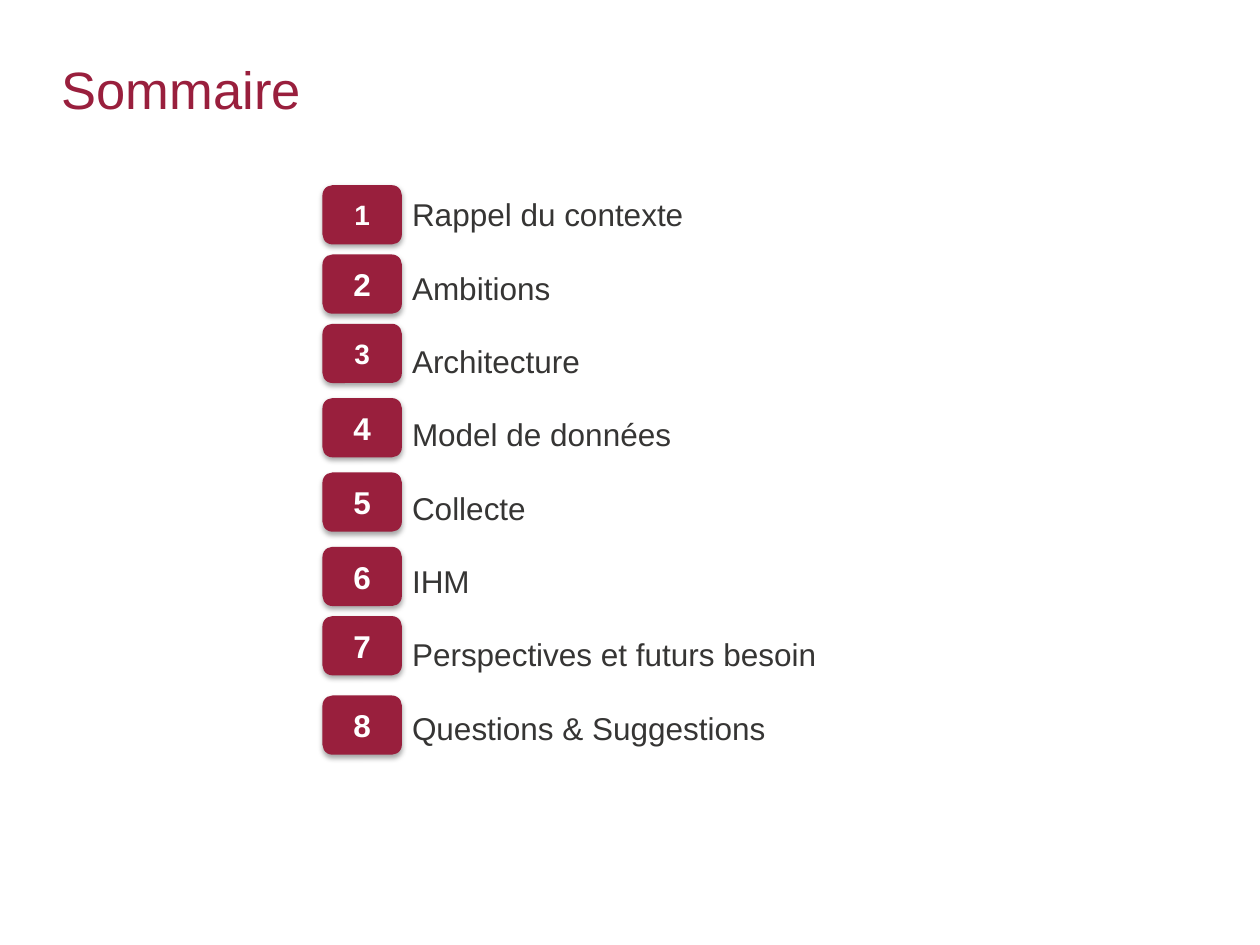
from lxml import etree
from pptx import Presentation
from pptx import util as u
from pptx.dml.color import RGBColor
from pptx.enum import shapes, text
from pptx.oxml.ns import qn

CRIMSON, CHARCOAL, WHITE = "991F3D", "363534", "FFFFFF"
CHAPTERS = [
    ("Rappel du contexte", 1.47, 16),
    ("Ambitions", 2.02, 18),
    ("Architecture", 2.57, 16),
    ("Model de données", 3.16, 18),
    ("Collecte", 3.75, 18),
    ("IHM", 4.34, 18),
    ("Perspectives et futurs besoin", 4.89, 18),
    ("Questions & Suggestions", 5.52, 18),
]


def color(value):
    return RGBColor.from_string(value)


def place(holder, left, top, width, height):
    holder.left, holder.top = u.Inches(left), u.Inches(top)
    holder.width, holder.height = u.Inches(width), u.Inches(height)


def set_frame(frame, anchor, side=0):
    frame.word_wrap = True
    frame.auto_size = text.MSO_AUTO_SIZE.NONE
    frame.vertical_anchor = anchor
    frame.margin_left = frame.margin_right = u.Inches(side)
    frame.margin_top = frame.margin_bottom = 0


def style(paragraph, size, fill, align=text.PP_ALIGN.LEFT, bold=False):
    paragraph.alignment = align
    paragraph.font.name = "Arial"
    paragraph.font.size = u.Pt(size)
    paragraph.font.bold = bold
    paragraph.font.color.rgb = color(fill)


def remove_bullet(paragraph):
    properties = paragraph._p.get_or_add_pPr()
    properties.set("marL", str(u.Inches(0.31)))
    properties.set("indent", str(-u.Inches(0.31)))
    etree.SubElement(properties, qn("a:buNone"))


def add_shadow(shape):
    shape.shadow.inherit = False
    effects = shape._element.spPr.find(qn("a:effectLst"))
    shadow = etree.SubElement(
        effects, qn("a:outerShdw"), blurRad=str(u.Pt(3.1)),
        dist=str(u.Pt(1.8)), dir="5400000", rotWithShape="0")
    black = etree.SubElement(shadow, qn("a:srgbClr"), val="000000")
    etree.SubElement(black, qn("a:alpha"), val="35000")


def set_title(title, wording):
    place(title, 0.49, 0.2, 9.01, 1.01)
    title.text_frame.text = wording
    set_frame(title.text_frame, text.MSO_ANCHOR.MIDDLE)
    style(title.text_frame.paragraphs[0], 30, CRIMSON)


def set_agenda(agenda, entries):
    place(agenda, 3.27, 1.55, 4.17, 4.65)
    agenda.text_frame.text = "\n".join(entries)
    set_frame(agenda.text_frame, text.MSO_ANCHOR.TOP)
    for entry in agenda.text_frame.paragraphs:
        style(entry, 18, CHARCOAL)
        entry.space_before = u.Pt(5)
        entry.space_after = u.Pt(15.3)
        remove_bullet(entry)


def add_badge(slide, number, top, size):
    badge = slide.shapes.add_shape(
        shapes.MSO_SHAPE.ROUNDED_RECTANGLE,
        u.Inches(2.56), u.Inches(top), u.Inches(0.63), u.Inches(0.47))
    badge.fill.solid()
    badge.fill.fore_color.rgb = color(CRIMSON)
    badge.line.fill.background()
    add_shadow(badge)
    badge.text_frame.text = str(number)
    set_frame(badge.text_frame, text.MSO_ANCHOR.MIDDLE, 0.07)
    style(badge.text_frame.paragraphs[0], size, WHITE,
          text.PP_ALIGN.CENTER, True)


def main():
    deck = Presentation()
    deck.slide_width, deck.slide_height = u.Inches(10), u.Inches(7.5)
    slide = deck.slides.add_slide(deck.slide_layouts[1])
    set_title(slide.shapes.title, "Sommaire")
    set_agenda(slide.placeholders[1], [name for name, _, _ in CHAPTERS])
    for number, (_, top, size) in enumerate(CHAPTERS, 1):
        add_badge(slide, number, top, size)
    deck.save("out.pptx")


if __name__ == "__main__":
    main()
